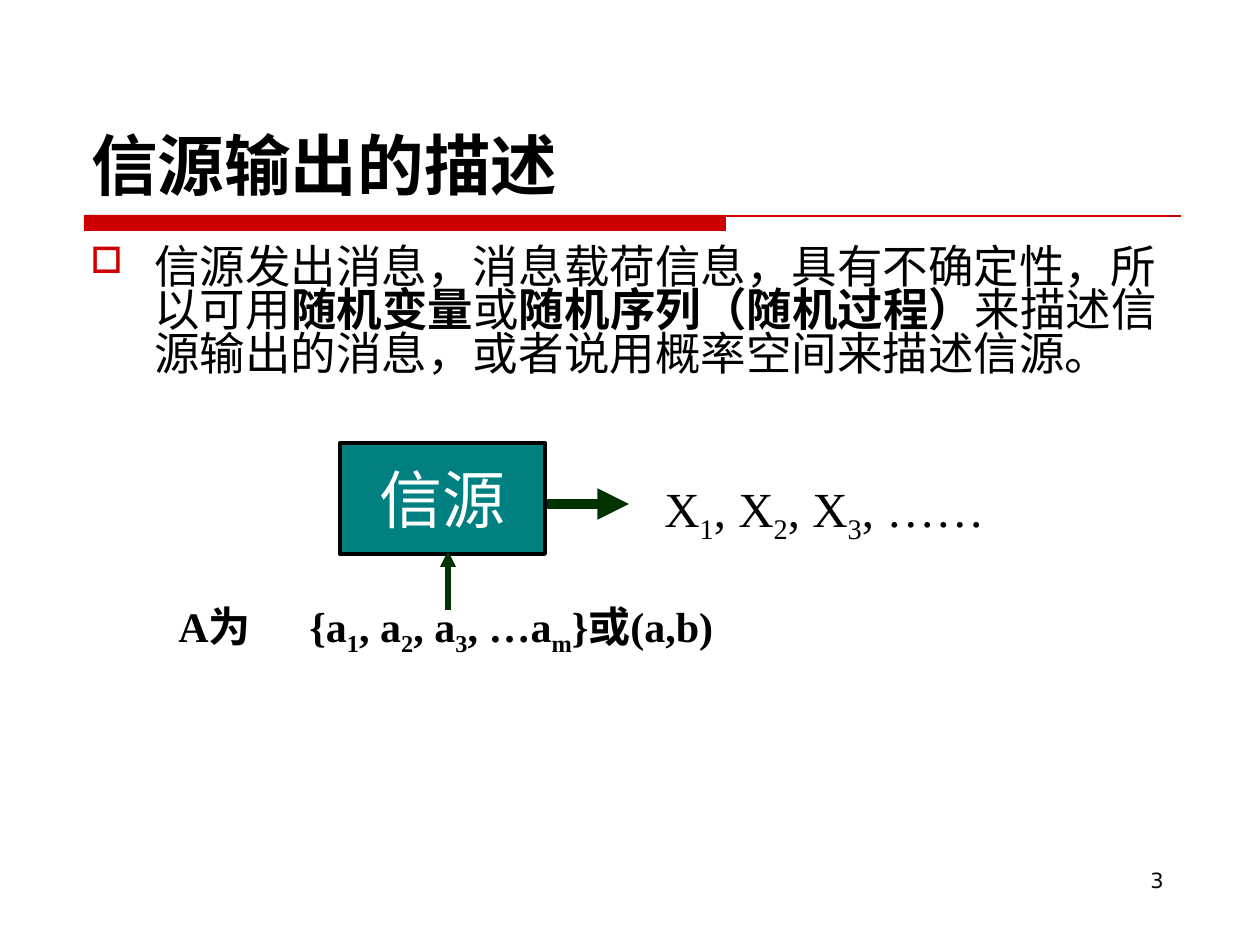
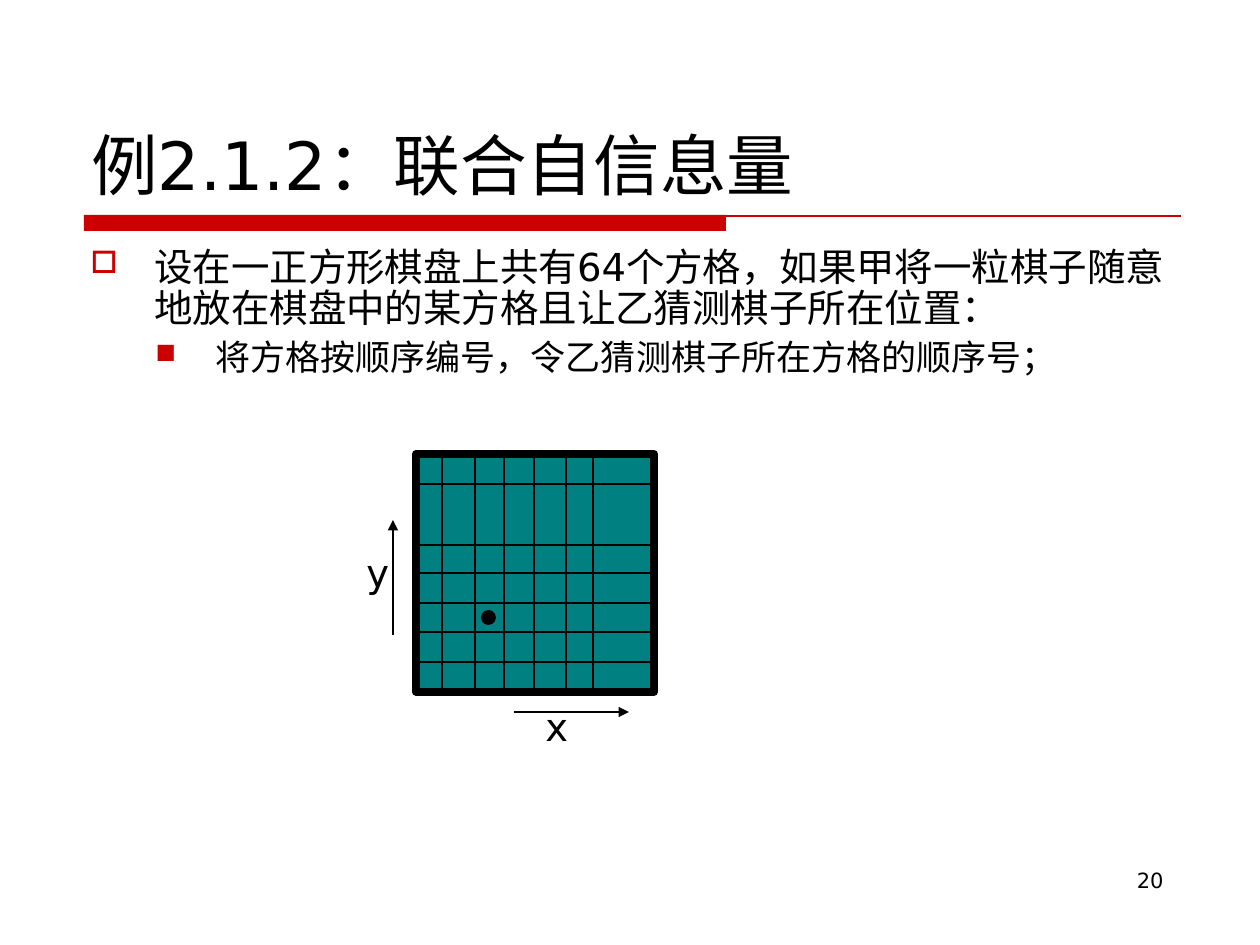
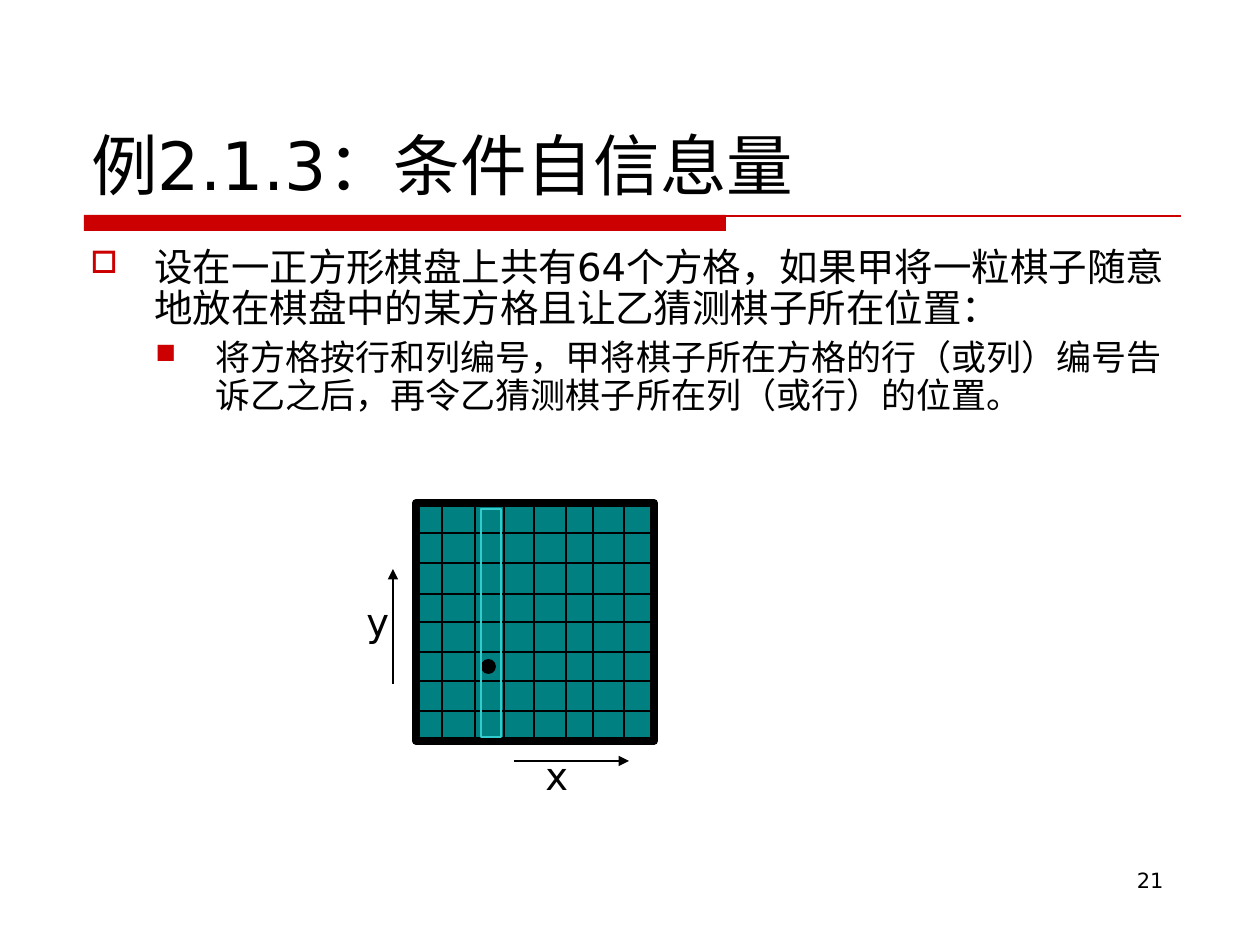
from lxml import etree
from pptx import Presentation
from pptx import util as u
from pptx.dml.color import RGBColor
from pptx.enum import shapes, text
from pptx.oxml import ns

PX = 914400 / 126
RED = RGBColor(0xCC, 0x00, 0x00)
TEAL = RGBColor(0x00, 0x80, 0x80)
GREEN = RGBColor(0x00, 0x33, 0x00)
CYAN = RGBColor(0x33, 0xCC, 0xCC)
BLACK = RGBColor(0x00, 0x00, 0x00)
WHITE = RGBColor(0xFF, 0xFF, 0xFF)
SANS, SERIF, LABEL = "DejaVu Sans", "Times New Roman", "Cabin"

BOARD_LEFT, BOARD_SIZE = 416, 238
COLUMN_LINES = [26, 59, 88, 118, 150, 177, 208]
ROW_LINES = [30, 60, 91, 119, 149, 178, 208]
CHESS_TASK = "设在一正方形棋盘上共有64个方格，如果甲将一粒棋子随意地放在棋盘中的某方格且让乙猜测棋子所在位置："


def px(*lengths):
    return [u.Emu(round(length * PX)) for length in lengths]


def add_element(parent, tag, **attributes):
    return etree.SubElement(parent, ns.qn(tag), **attributes)


def style_font(font, size, name=SANS, color=BLACK, bold=False):
    font.size, font.name, font.bold = u.Pt(size), name, bold
    font.color.rgb = color


def add_text(page, area, content, size, name=SANS, bold=False, wrap=True,
             align=text.PP_ALIGN.LEFT, anchor=text.MSO_ANCHOR.TOP):
    box = page.shapes.add_textbox(*px(*area))
    frame = box.text_frame
    frame.word_wrap, frame.vertical_anchor = wrap, anchor
    para = frame.paragraphs[0]
    para.text, para.alignment = content, align
    style_font(para.font, size, name, bold=bold)
    return box


def add_formula(page, area, content, size, bold=False, tab=None):
    box = add_text(page, area, "", size, SERIF, wrap=False)
    para = box.text_frame.paragraphs[0]
    if tab:
        props = para._p.get_or_add_pPr()
        tabs = etree.Element(ns.qn("a:tabLst"))
        add_element(tabs, "a:tab", pos=str(px(tab)[0]), algn="l")
        props.insert(0, tabs)
    para.font.bold = bold
    for index, part in enumerate(content.split("|")):
        span = para.add_run()
        span.text = part
        if index % 2:
            span._r.get_or_add_rPr().set("baseline", "-25000")


def add_bullets(page, height, items, spacing):
    box = page.shapes.add_textbox(*px(78, 242, 1103, height))
    frame = box.text_frame
    frame.word_wrap = True
    levels = [("□", 64, -64), ("■", 125, -60)]
    for index, (level, size, content) in enumerate(items):
        para = frame.add_paragraph() if index else frame.paragraphs[0]
        para.level, para.line_spacing = level, spacing
        if index:
            para.space_before = u.Pt(size / 4)
        mark, margin, indent = levels[level]
        props = para._p.get_or_add_pPr()
        props.set("marL", str(px(margin)[0]))
        props.set("indent", str(px(indent)[0]))
        add_element(add_element(props, "a:buClr"), "a:srgbClr", val=str(RED))
        add_element(props, "a:buSzPct", val="80000")
        add_element(props, "a:buChar", char=mark)
        style_font(para.font, size)
        for part_index, part in enumerate(content.split("|")):
            span = para.add_run()
            span.text = part
            if part_index % 2:
                span.font.bold = True


def add_line(page, start, end, color=BLACK, width=0.75, arrow=False):
    line = page.shapes.add_connector(
        shapes.MSO_CONNECTOR.STRAIGHT, *px(*start, *end))
    line.line.color.rgb, line.line.width = color, u.Pt(width)
    if arrow:
        add_element(line.line._get_or_add_ln(), "a:tailEnd", type="triangle")
    add_element(line._element.spPr, "a:effectLst")


def add_block(page, area, fill=None, line=None, width=0.75,
              kind=shapes.MSO_SHAPE.RECTANGLE):
    block = page.shapes.add_shape(kind, *px(*area))
    block.shadow.inherit = False
    if fill is None:
        block.fill.background()
    else:
        block.fill.solid()
        block.fill.fore_color.rgb = fill
    if line is None:
        block.line.fill.background()
    else:
        block.line.color.rgb, block.line.width = line, u.Pt(width)
    return block


def add_page(deck, title, number, bold=False):
    page = deck.slides.add_slide(deck.slide_layouts[6])
    add_block(page, (84, 215, 642, 16), RED)
    add_line(page, (84, 216), (1181, 216), RED)
    add_text(page, (903, 861, 273, 66), number, 12, align=text.PP_ALIGN.RIGHT)
    add_text(page, (79, 42, 1102, 168), title, 38, bold=bold,
             anchor=text.MSO_ANCHOR.BOTTOM)
    return page


def add_source_box(page):
    block = add_block(page, (340, 443, 205, 111), TEAL, BLACK, 2.25)
    frame = block.text_frame
    frame.word_wrap, frame.vertical_anchor = False, text.MSO_ANCHOR.MIDDLE
    para = frame.paragraphs[0]
    para.text, para.alignment = "信源", text.PP_ALIGN.CENTER
    style_font(para.font, 36, LABEL, WHITE)


def add_board(page, top, columns, rows):
    add_block(page, (BOARD_LEFT, top, BOARD_SIZE, BOARD_SIZE), TEAL, BLACK, 4.5)
    for offset in columns:
        x = BOARD_LEFT + offset
        add_line(page, (x, top), (x, top + BOARD_SIZE))
    for offset in rows:
        y = top + offset
        add_line(page, (BOARD_LEFT, y), (BOARD_LEFT + BOARD_SIZE, y))
    add_block(page, (481, top + 156, 15, 15), BLACK, kind=shapes.MSO_SHAPE.OVAL)
    add_line(page, (514, top + 258), (629, top + 258), arrow=True)
    add_line(page, (393, top + 181), (393, top + 66), arrow=True)
    add_text(page, (533, top + 243, 45, 59), "x", 22, wrap=False)
    add_text(page, (354, top + 89, 44, 59), "y", 22, wrap=False)


def main():
    deck = Presentation()
    deck.slide_width, deck.slide_height = px(1260, 945)

    page = add_page(deck, "信源输出的描述", "3", bold=True)
    add_bullets(page, 588, [
        (0, 26, "信源发出消息，消息载荷信息，具有不确定性，所以可用|随机变量|或"
                "|随机序列（随机过程）|来描述信源输出的消息，或者说用概率空间来描述信源。"),
    ], 0.8)
    add_line(page, (545, 504), (629, 504), GREEN, 6, arrow=True)
    add_source_box(page)
    add_formula(page, (652, 472, 345, 73), "X|1|, X|2|, X|3|, ……", 28)
    add_formula(page, (166, 594, 580, 67),
                "A为\t{a|1|, a|2|, a|3|, …a|m|}或(a,b)", 24, bold=True, tab=131)
    add_line(page, (448, 610), (448, 551), GREEN, 3, arrow=True)

    page = add_page(deck, "例2.1.2：联合自信息量", "20")
    add_bullets(page, 202, [
        (0, 22, CHESS_TASK),
        (1, 20, "将方格按顺序编号，令乙猜测棋子所在方格的顺序号；"),
    ], 0.9)
    add_board(page, 454, COLUMN_LINES[:-1], ROW_LINES[:1] + ROW_LINES[2:])

    page = add_page(deck, "例2.1.3：条件自信息量", "21")
    add_bullets(page, 202, [
        (0, 22, CHESS_TASK),
        (1, 20, "将方格按行和列编号，甲将棋子所在方格的行（或列）编号告诉乙之后，"
                "再令乙猜测棋子所在列（或行）的位置。"),
    ], 0.9)
    add_board(page, 503, COLUMN_LINES, ROW_LINES)
    add_block(page, (481, 509, 20, 228), line=CYAN)

    deck.save("out.pptx")


if __name__ == "__main__":
    main()
